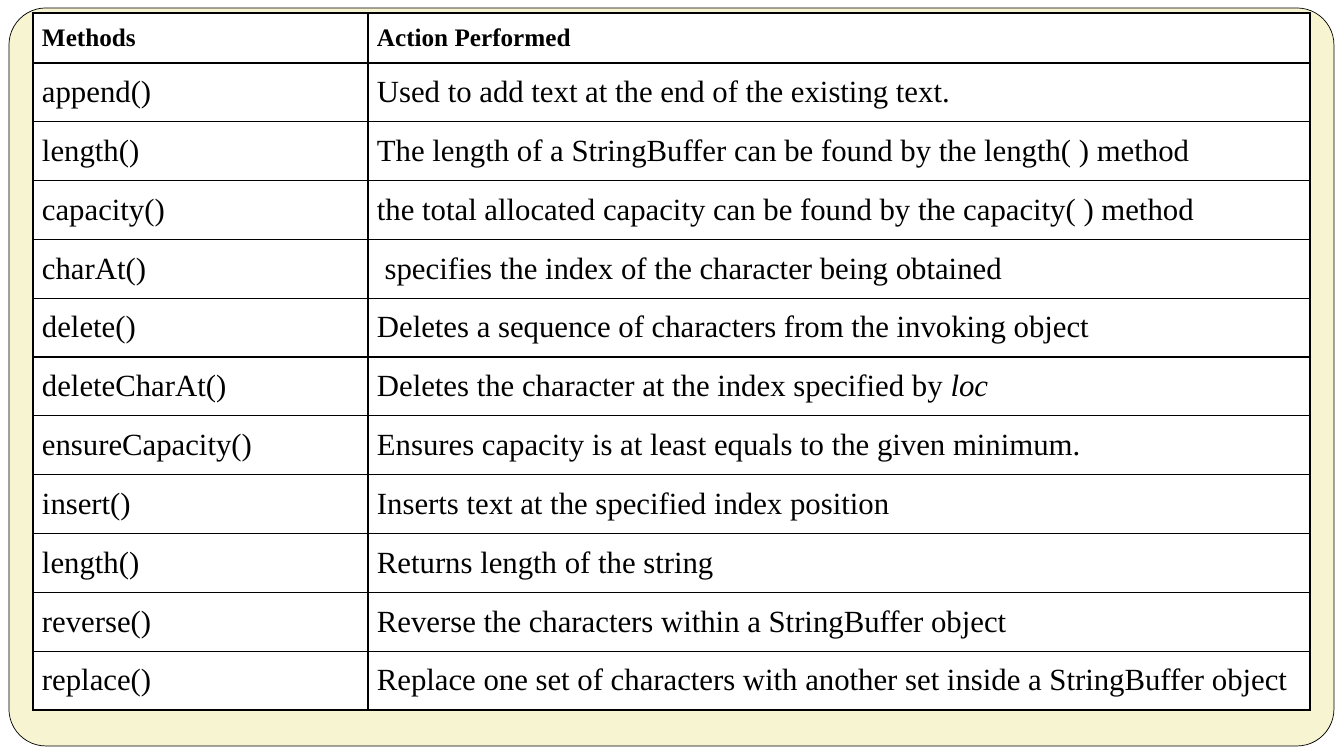
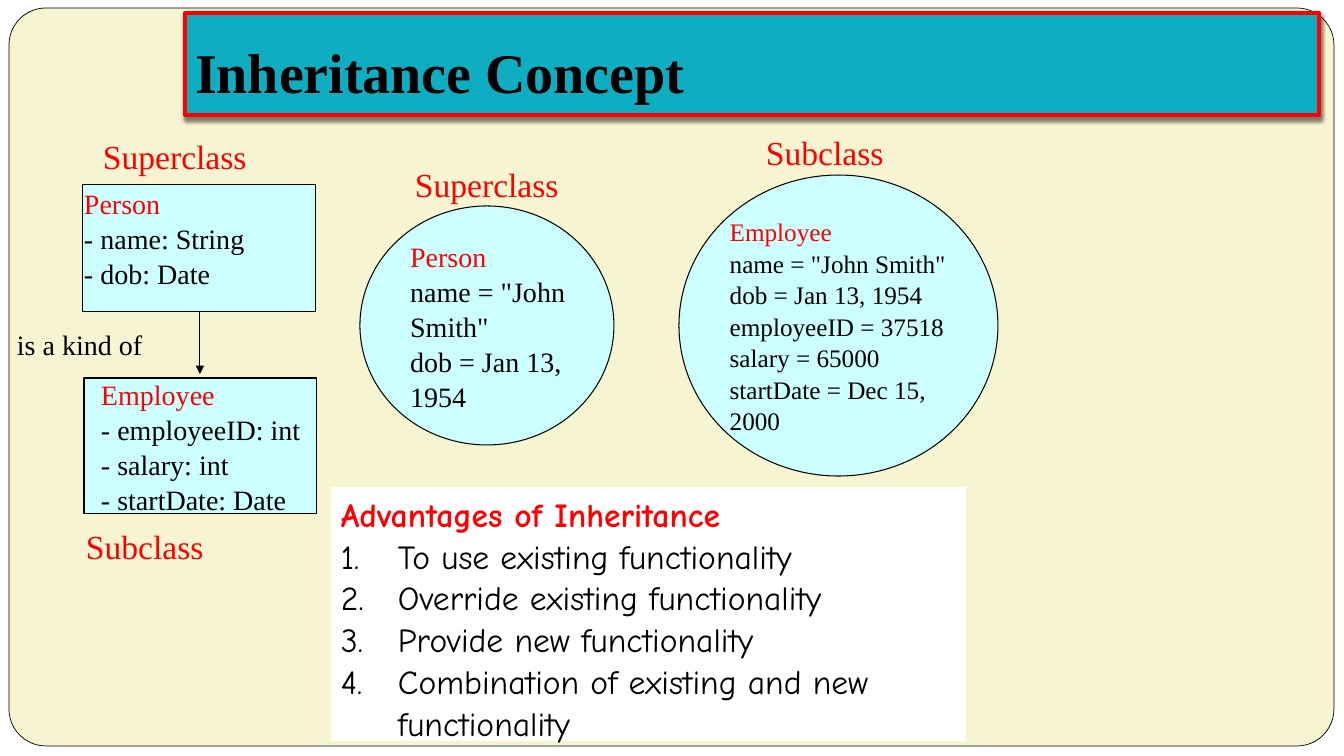
"""Build two slides on StringBuffer methods and the inheritance concept."""
from lxml.etree import SubElement
from pptx import Presentation
from pptx.dml.color import RGBColor
from pptx.enum.shapes import MSO_CONNECTOR as CONN, MSO_SHAPE as SHAPE
from pptx.enum.text import MSO_ANCHOR as ANCHOR, MSO_AUTO_SIZE as AUTO, PP_ALIGN as ALIGN
from pptx.oxml import parse_xml
from pptx.oxml.ns import nsdecls, qn
from pptx.util import Pt

PX = 12192000 / 1344
BLACK = RGBColor(0x00, 0x00, 0x00)
WHITE = RGBColor(0xFF, 0xFF, 0xFF)
RED = RGBColor(0xFF, 0x00, 0x00)
CREAM = RGBColor(0xF7, 0xF4, 0xD1)
TEAL = RGBColor(0x0E, 0xAD, 0xC2)
PALE_BLUE = RGBColor(0xCC, 0xFF, 0xFF)
SERIF = "Times New Roman"
COMIC = "Comic Neue"


def px(*lengths):
    return [round(n * PX) for n in lengths]


def add_run(p, text, size, color=BLACK, font=SERIF, bold=False, italic=False):
    r = p.add_run()
    r.text = text
    r.font.name = font
    r.font.size = Pt(size)
    r.font.color.rgb = color
    r.font.bold = bold
    r.font.italic = italic


prs = Presentation()
prs.slide_width, prs.slide_height = px(1344, 756)
master = prs.slide_master
master.background.fill.solid()
master.background.fill.fore_color.rgb = WHITE

s = prs.slides.add_slide(prs.slide_layouts[6])
panel = s.shapes.add_shape(SHAPE.ROUNDED_RECTANGLE, *px(9, 8, 1325, 738))
panel.adjustments[0] = 0.05
panel.shadow.inherit = False
panel.fill.solid()
panel.fill.fore_color.rgb = CREAM
panel.line.color.rgb = BLACK
panel.line.width = Pt(0.5)
panel.element.nvSpPr.cNvPr.set("id", "100")
master.shapes.element.insert(2, panel.element)

methods = [
    ("Methods", "Action Performed"),
    ("append()", "Used to add text at the end of the existing text."),
    ("length()", "The length of a StringBuffer can be found by the length( ) method"),
    ("capacity()", "the total allocated capacity can be found by the capacity( ) method"),
    ("charAt()", " specifies the index of the character being obtained"),
    ("delete()", "Deletes a sequence of characters from the invoking object"),
    ("deleteCharAt()", "Deletes the character at the index specified by "),
    ("ensureCapacity()", "Ensures capacity is at least equals to the given minimum."),
    ("insert()", "Inserts text at the specified index position"),
    ("length()", "Returns length of the string"),
    ("reverse()", "Reverse the characters within a StringBuffer object"),
    ("replace()", "Replace one set of characters with another set inside a StringBuffer object"),
]
table = s.shapes.add_table(len(methods), 2, *px(33, 13, 1277, 697)).table
table.first_row = table.horz_banding = False
table.columns[0].width, table.columns[1].width = px(335, 942)
header_height, row_height = px(50, 647 / (len(methods) - 1))
for i, texts in enumerate(methods):
    header = i == 0
    table.rows[i].height = header_height if header else row_height
    for cell, text in zip(table.rows[i].cells, texts):
        cell.vertical_anchor = ANCHOR.MIDDLE
        cell.margin_left, cell.margin_right = px(9, 9)
        cell.margin_top, cell.margin_bottom = px(9, 9) if header else px(11, 11)
        tcPr = cell._tc.get_or_add_tcPr()
        for side in ("lnL", "lnR", "lnT", "lnB"):
            ln = SubElement(tcPr, qn(f"a:{side}"), w=str(Pt(1)))
            SubElement(SubElement(ln, qn("a:solidFill")), qn("a:srgbClr"), val=str(BLACK))
        cell.fill.solid()
        cell.fill.fore_color.rgb = WHITE
        add_run(cell.text_frame.paragraphs[0], text, 18 if header else 22, bold=header)
add_run(table.cell(6, 1).text_frame.paragraphs[0], "loc", 22, italic=True)

s = prs.slides.add_slide(prs.slide_layouts[5])
title = s.shapes.title
title.left, title.top, title.width, title.height = px(185, 13, 1134, 102)
title.fill.solid()
title.fill.fore_color.rgb = TEAL
title.line.color.rgb = RED
title.line.width = Pt(3)
title.element.spPr.append(parse_xml(
    f'<a:effectLst {nsdecls("a")}><a:outerShdw blurRad="{Pt(3)}" dist="{Pt(2)}" dir="5400000" '
    f'rotWithShape="0"><a:srgbClr val="{BLACK}"><a:alpha val="50000"/></a:srgbClr>'
    '</a:outerShdw></a:effectLst>'))
tf = title.text_frame
tf.auto_size = AUTO.NONE
tf.vertical_anchor = ANCHOR.BOTTOM
tf.margin_left, tf.margin_right, tf.margin_top, tf.margin_bottom = px(10, 10, 5, 10)
tf.paragraphs[0].alignment = ALIGN.LEFT
add_run(tf.paragraphs[0], "Inheritance Concept", 40, bold=True)

objects = [
    (SHAPE.RECTANGLE, (83, 185, 233, 127), ANCHOR.TOP, 1, 20,
     ["Person", "- name: String", "- dob: Date"]),
    (SHAPE.RECTANGLE, (84, 378, 233, 136), ANCHOR.MIDDLE, 17, 20,
     ["Employee", "- employeeID: int", "- salary: int", "- startDate: Date"]),
    (SHAPE.OVAL, (360, 206, 254, 239), ANCHOR.MIDDLE, 13, 20,
     ["Person", 'name = "John Smith"', "dob = Jan 13, 1954"]),
    (SHAPE.OVAL, (679, 175, 319, 301), ANCHOR.MIDDLE, 4, 18,
     ["Employee", 'name = "John Smith"', "dob = Jan 13, 1954", "employeeID = 37518",
      "salary = 65000", "startDate = Dec 15, 2000"]),
]
for kind, box, anchor, inset, size, lines in objects:
    sp = s.shapes.add_shape(kind, *px(*box))
    sp.shadow.inherit = False
    sp.fill.solid()
    sp.fill.fore_color.rgb = PALE_BLUE
    sp.line.color.rgb = BLACK
    sp.line.width = Pt(0.75)
    tf = sp.text_frame
    tf.word_wrap = True
    tf.vertical_anchor = anchor
    tf.margin_left, tf.margin_right, tf.margin_top, tf.margin_bottom = px(inset, 0, 0, 0)
    for i, line in enumerate(lines):
        p = tf.add_paragraph() if i else tf.paragraphs[0]
        p.alignment = ALIGN.LEFT
        p.line_spacing = 1.04
        add_run(p, line, size, BLACK if i else RED)

x, y1, y2 = px(200, 312, 374)
arrow = s.shapes.add_connector(CONN.STRAIGHT, x, y1, x, y2)
arrow.line.color.rgb = BLACK
arrow.line.width = Pt(0.75)
SubElement(arrow.line._get_or_add_ln(), qn("a:tailEnd"), type="triangle")
SubElement(arrow.element.spPr, qn("a:effectLst"))

labels = [
    ("is a kind of", 17, 326, 20, BLACK),
    ("Superclass", 103, 134, 24, RED),
    ("Superclass", 415, 162, 24, RED),
    ("Subclass", 766, 130, 24, RED),
    ("Subclass", 86, 524, 24, RED),
]
for text, left, top, size, color in labels:
    tf = s.shapes.add_textbox(*px(left, top, 145, 40)).text_frame
    tf.word_wrap = True
    tf.margin_left = tf.margin_right = tf.margin_top = tf.margin_bottom = 0
    tf.paragraphs[0].line_spacing = 1.04
    add_run(tf.paragraphs[0], text, size, color)

sp = s.shapes.add_textbox(*px(331, 487, 635, 254))
sp.fill.solid()
sp.fill.fore_color.rgb = WHITE
tf = sp.text_frame
tf.word_wrap = True
p = tf.paragraphs[0]
p.line_spacing = 1.04
add_run(p, "Advantages of Inheritance", 24, RED, COMIC, bold=True)
indent, = px(57)
for text in ("To use existing functionality", "Override existing functionality",
             "Provide new functionality", "Combination of existing and new functionality"):
    p = tf.add_paragraph()
    p.line_spacing = 1.04
    pPr = p._p.get_or_add_pPr()
    pPr.set("marL", str(indent))
    pPr.set("indent", str(-indent))
    SubElement(pPr, qn("a:buFont"), typeface="+mj-lt")
    SubElement(pPr, qn("a:buAutoNum"), type="arabicPeriod")
    add_run(p, text, 24, font=COMIC)

prs.save("out.pptx")
